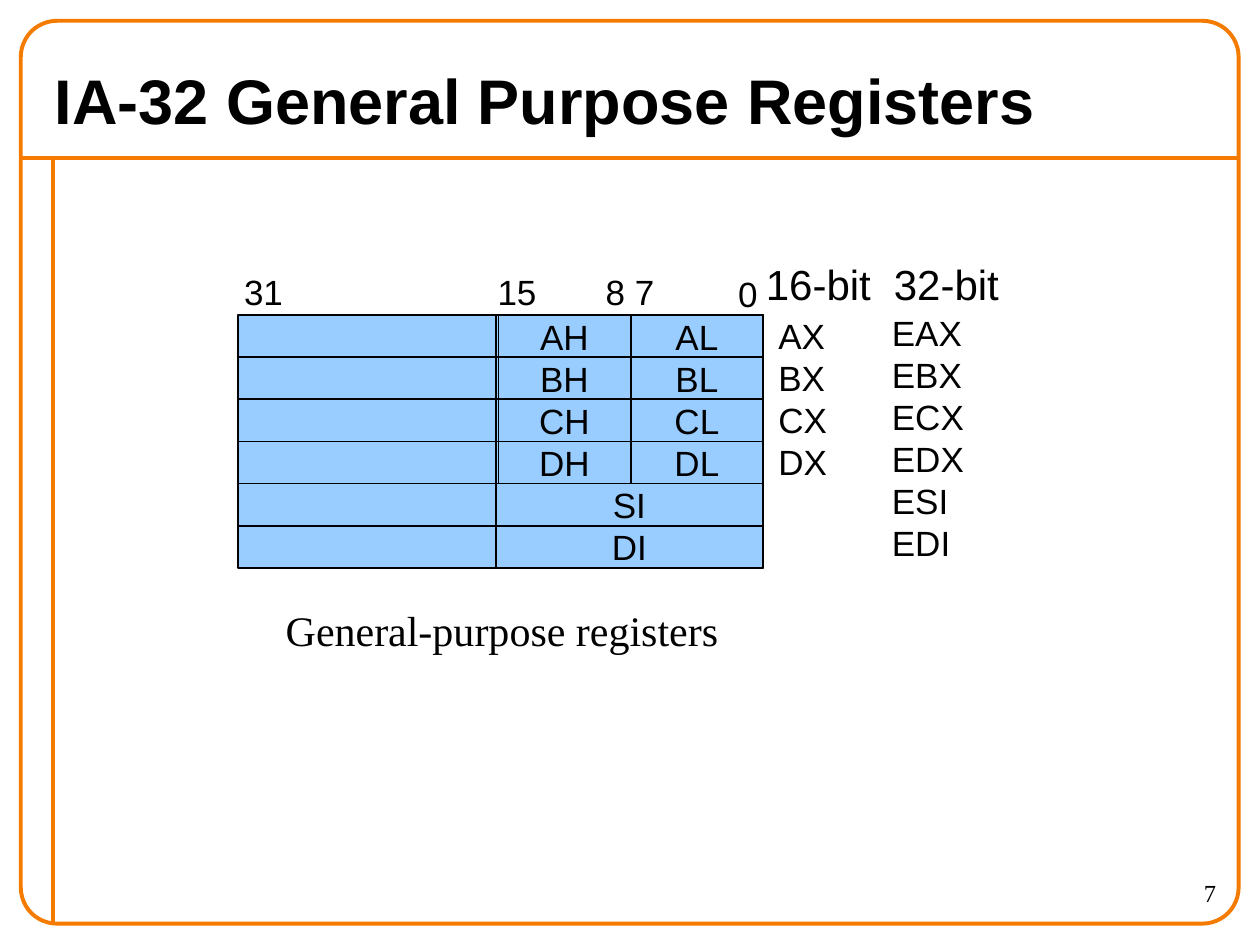
"""Build the slide on the IA-32 general purpose registers."""
from lxml import etree
from pptx import Presentation
from pptx.dml.color import RGBColor
from pptx.enum.shapes import MSO_CONNECTOR, MSO_SHAPE
from pptx.enum.text import MSO_ANCHOR, MSO_AUTO_SIZE, PP_ALIGN
from pptx.oxml.ns import qn
from pptx.util import Cm, Pt

BLACK = RGBColor(0x00, 0x00, 0x00)
ORANGE = RGBColor(0xF4, 0x7A, 0x00)
LIGHT_BLUE = RGBColor(0x99, 0xCC, 0xFF)
RECTANGLE, ROUNDED = MSO_SHAPE.RECTANGLE, MSO_SHAPE.ROUNDED_RECTANGLE
STRAIGHT = MSO_CONNECTOR.STRAIGHT
MIDDLE = MSO_ANCHOR.MIDDLE
NO_AUTOSIZE = MSO_AUTO_SIZE.NONE
LEFT, CENTER, RIGHT = PP_ALIGN.LEFT, PP_ALIGN.CENTER, PP_ALIGN.RIGHT
SANS, SERIF = "Arial", "Times New Roman"


def write(frame, text, size=20, font=SANS, align=LEFT, bold=False, tab=None):
    frame.text = text
    frame.word_wrap = True
    frame.auto_size = NO_AUTOSIZE
    font_format = {"size": Pt(size), "name": font, "bold": bold}
    for paragraph in frame.paragraphs:
        paragraph.alignment = align
        if tab:
            tabs = etree.SubElement(paragraph._p.get_or_add_pPr(), qn("a:tabLst"))
            etree.SubElement(tabs, qn("a:tab"), pos=str(tab), algn="l")
        for attribute, value in font_format.items():
            setattr(paragraph.font, attribute, value)
        paragraph.font.color.rgb = BLACK


def add_cell(left, top, width, text=""):
    cell = slide.shapes.add_shape(RECTANGLE, left, top, width, ROW_HEIGHT)
    cell.shadow.inherit = False
    cell.fill.solid()
    cell.fill.fore_color.rgb = LIGHT_BLUE
    cell.line.color.rgb = BLACK
    cell.line.width = Pt(1)
    if text:
        cell.text_frame.vertical_anchor = MIDDLE
        write(cell.text_frame, text, align=CENTER)


prs = Presentation()
prs.slide_width, prs.slide_height = Cm(25.4), Cm(19.05)
slide = prs.slides.add_slide(prs.slide_layouts[5])

title = slide.shapes.title
title_place = {"left": Cm(0.85), "top": Cm(1.06), "width": Cm(23.7), "height": Cm(1.9)}
for attribute, value in title_place.items():
    setattr(title, attribute, value)
write(title.text_frame, "IA-32 General Purpose Registers", 36, bold=True)
title.text_frame.vertical_anchor = MIDDLE

frame_border = slide.shapes.add_shape(ROUNDED, Cm(0.42), Cm(0.42), Cm(24.55), Cm(18.2))
frame_border.adjustments[0] = 0.04
frame_border.shadow.inherit = False
frame_border.fill.background()
title_rule = slide.shapes.add_connector(STRAIGHT, Cm(0.42), Cm(3.18), Cm(24.97), Cm(3.18))
margin_rule = slide.shapes.add_connector(STRAIGHT, Cm(1.06), Cm(3.18), Cm(1.06), Cm(18.62))
for rule in (title_rule, margin_rule):
    etree.SubElement(rule._element.spPr, qn("a:effectLst"))
for outline in (frame_border, title_rule, margin_rule):
    outline.line.color.rgb = ORANGE
    outline.line.width = Pt(2.25)

ROW_HEIGHT = Cm(0.85)
GRID_LEFT, GRID_TOP, GRID_WIDTH = Cm(4.8), Cm(6.35), Cm(10.58)
WORD_LEFT, WORD_WIDTH = Cm(10), Cm(5.38)
HIGH_LEFT, LOW_LEFT, BYTE_WIDTH = Cm(10.05), Cm(12.72), Cm(2.66)

registers = [("AH", "AL"), ("BH", "BL"), ("CH", "CL"), ("DH", "DL"), ("SI",), ("DI",)]
for row, parts in enumerate(registers):
    top = GRID_TOP + row * ROW_HEIGHT
    add_cell(GRID_LEFT, top, GRID_WIDTH)
    if len(parts) == 1:
        add_cell(WORD_LEFT, top, WORD_WIDTH, parts[0])
    else:
        add_cell(WORD_LEFT, top, WORD_WIDTH)
        add_cell(LOW_LEFT, top, BYTE_WIDTH, parts[1])
        add_cell(HIGH_LEFT, top, BYTE_WIDTH, parts[0])

labels = [
    ("31", 4.67, 5.33, 1.5, 1.12, 20, SANS, LEFT, None),
    ("15", 9.78, 5.33, 1.5, 1.12, 20, SANS, LEFT, None),
    ("8 7", 11.96, 5.33, 1.7, 1.12, 20, SANS, LEFT, None),
    ("0", 14.63, 5.36, 1, 1.12, 20, SANS, LEFT, None),
    ("16-bit\t32-bit", 15.19, 5.08, 5.5, 1.27, 24, SANS, LEFT, Cm(2.58)),
    ("AX\nBX\nCX\nDX", 15.44, 6.22, 1.7, 3.66, 20, SANS, LEFT, None),
    ("EAX\nEBX\nECX\nEDX\nESI\nEDI", 17.73, 6.15, 2.2, 6.2, 20, SANS, LEFT, None),
    ("General-purpose registers", 5.51, 12.07, 9.6, 1.27, 24, SERIF, LEFT, None),
    ("7", 22.23, 17.58, 2.54, 1.06, 14, SERIF, RIGHT, None),
]
for text, left, top, width, height, size, font, align, tab in labels:
    label = slide.shapes.add_textbox(Cm(left), Cm(top), Cm(width), Cm(height))
    write(label.text_frame, text, size, font, align, tab=tab)

prs.save("out.pptx")
